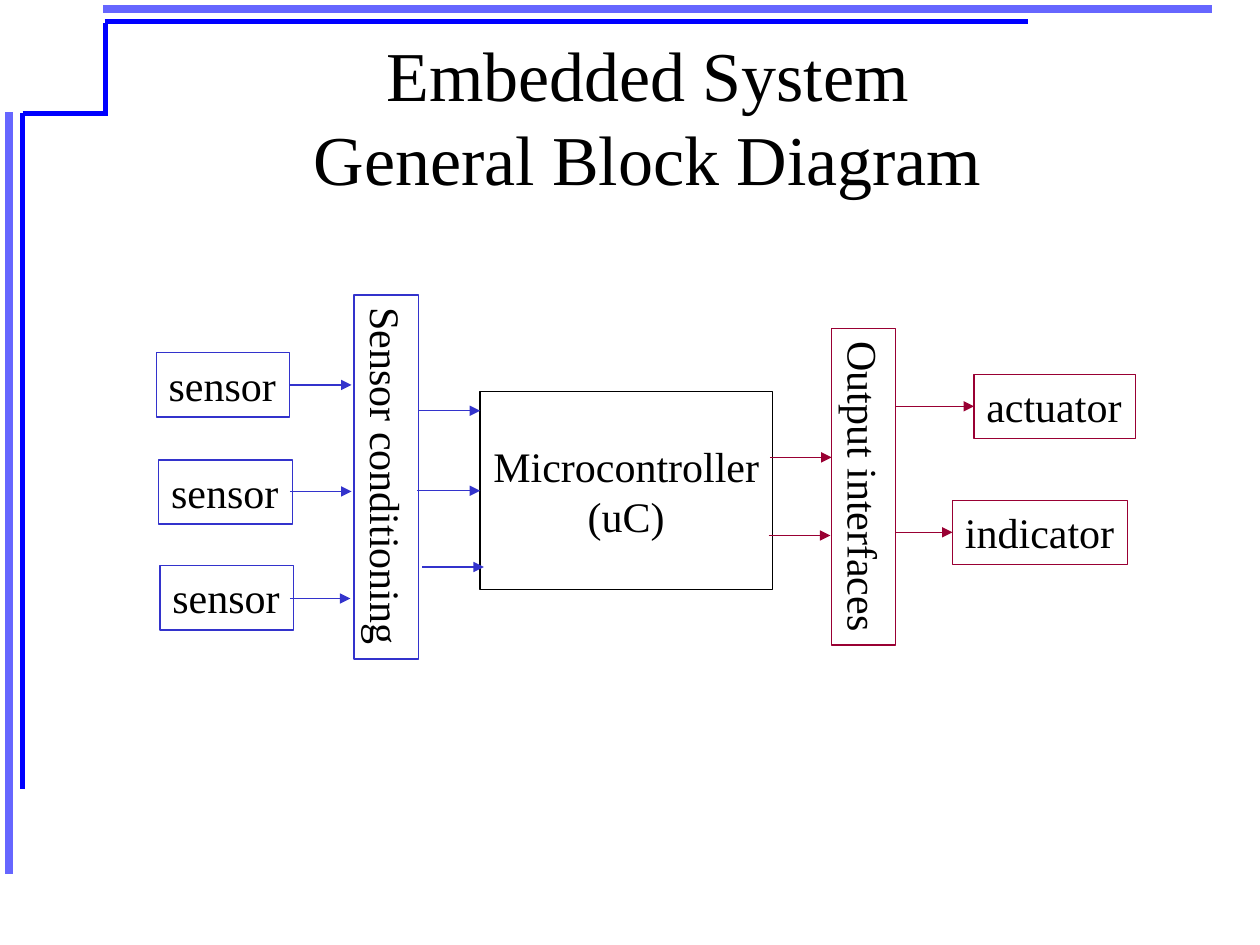
"""Build the embedded system block diagram slide."""
from dataclasses import dataclass

from lxml import etree
from pptx import Presentation
from pptx import util as u
from pptx.dml.color import RGBColor
from pptx.enum import shapes, text
from pptx.oxml.ns import qn

FONT = "Times New Roman"
BLACK, BLUE, RED = "000000", "3333CC", "990033"
FRAME_LIGHT, FRAME_DARK = "6666FF", "0000FF"
LEFT_SIDE, RIGHT_SIDE = 1, 3


@dataclass
class Block:
    label: str
    left: float
    top: float
    width: float
    height: float = 0.51
    color: str = BLUE
    rotation: int = 0
    centered: bool = False

    @property
    def middle(self) -> float:
        return self.top + self.height / 2


@dataclass
class Line:
    x1: float
    y1: float
    x2: float
    y2: float
    color: str
    weight: float


@dataclass
class Arrow:
    x1: float
    x2: float
    color: str
    y: float = 0
    source: str = ""
    target: str = ""


FRAME = [
    Line(0.07, 0.89, 0.07, 6.94, FRAME_LIGHT, 4.5),
    Line(0.82, 0.07, 9.62, 0.07, FRAME_LIGHT, 4.5),
    Line(0.18, 0.9, 0.18, 6.26, FRAME_DARK, 3),
    Line(0.83, 0.17, 8.16, 0.17, FRAME_DARK, 3),
    Line(0.18, 0.9, 0.85, 0.9, FRAME_DARK, 3),
    Line(0.84, 0.92, 0.84, 0.18, FRAME_DARK, 3),
]
BLOCKS = {
    "controller": Block("Microcontroller\n(uC)", 3.81, 3.11, 2.32, 1.57, BLACK, centered=True),
    "sensor 1": Block("sensor", 1.24, 2.8, 1.06),
    "sensor 2": Block("sensor", 1.26, 3.65, 1.06),
    "sensor 3": Block("sensor", 1.27, 4.49, 1.06),
    "conditioning": Block("Sensor conditioning", 1.62, 3.53, 2.89, rotation=90),
    "interfaces": Block("Output interfaces", 5.6, 3.61, 2.51, color=RED, rotation=90),
    "actuator": Block("actuator", 7.73, 2.97, 1.28, color=RED),
    "indicator": Block("indicator", 7.56, 3.97, 1.39, color=RED),
}
ARROWS = [
    Arrow(2.3, 2.79, BLUE, source="sensor 1"),
    Arrow(2.3, 2.79, BLUE, y=3.9),
    Arrow(2.3, 2.78, BLUE, y=4.75),
    Arrow(3.32, 3.81, BLUE, y=3.26),
    Arrow(3.31, 3.81, BLUE, target="controller"),
    Arrow(3.35, 3.84, BLUE, y=4.5),
    Arrow(6.11, 6.6, RED, y=3.63),
    Arrow(6.1, 6.59, RED, y=4.25),
    Arrow(7.11, 7.73, RED, target="actuator"),
    Arrow(7.11, 7.56, RED, target="indicator"),
]


def rgb(value: str) -> RGBColor:
    """Turn a hex string into a colour."""
    return RGBColor.from_string(value)


def style_text(frame, size: float, align) -> None:
    """Format every paragraph of a text frame."""
    for para in frame.paragraphs:
        para.alignment = align
        for span in para.runs:
            span.font.size = u.Pt(size)
            span.font.name = FONT
            span.font.color.rgb = rgb(BLACK)


def draw_title(slide, label: str) -> None:
    """Draw the centred slide title."""
    box = slide.shapes.add_textbox(*map(u.Inches, (0.89, 0.29, 8.5, 1.25)))
    frame = box.text_frame
    frame.word_wrap = True
    frame.vertical_anchor = text.MSO_ANCHOR.MIDDLE
    frame.text = label
    style_text(frame, 40, text.PP_ALIGN.CENTER)


def draw_block(slide, block: Block):
    """Draw one outlined block with its label."""
    bounds = map(u.Inches, (block.left, block.top, block.width, block.height))
    box = slide.shapes.add_shape(shapes.MSO_SHAPE.RECTANGLE, *bounds)
    box.rotation = block.rotation
    box.shadow.inherit = False
    box.fill.background()
    box.line.color.rgb = rgb(block.color)
    box.line.width = u.Pt(0.75)
    frame = box.text_frame
    frame.text = block.label
    frame.word_wrap = False
    if block.centered:
        frame.vertical_anchor = text.MSO_ANCHOR.MIDDLE
        style_text(frame, 24, text.PP_ALIGN.CENTER)
    else:
        frame.vertical_anchor = text.MSO_ANCHOR.TOP
        frame.auto_size = text.MSO_AUTO_SIZE.SHAPE_TO_FIT_TEXT
        style_text(frame, 24, text.PP_ALIGN.LEFT)
    return box


def draw_line(slide, line: Line):
    """Draw one straight line without a shadow."""
    ends = map(u.Inches, (line.x1, line.y1, line.x2, line.y2))
    connector = slide.shapes.add_connector(shapes.MSO_CONNECTOR.STRAIGHT, *ends)
    connector.line.color.rgb = rgb(line.color)
    connector.line.width = u.Pt(line.weight)
    etree.SubElement(connector._element.spPr, qn("a:effectLst"))
    return connector


def draw_arrow(slide, arrow: Arrow, boxes: dict) -> None:
    """Draw a horizontal arrow, joined to its named block if it has one."""
    joined = arrow.source or arrow.target
    y = BLOCKS[joined].middle if joined else arrow.y
    connector = draw_line(slide, Line(arrow.x1, y, arrow.x2, y, arrow.color, 0.75))
    outline = connector.line._get_or_add_ln()
    etree.SubElement(outline, qn("a:tailEnd"), type="triangle")
    if arrow.source:
        connector.begin_connect(boxes[arrow.source], RIGHT_SIDE)
    if arrow.target:
        connector.end_connect(boxes[arrow.target], LEFT_SIDE)


def main() -> None:
    """Build and save the deck."""
    deck = Presentation()
    deck.slide_width, deck.slide_height = u.Inches(10), u.Inches(7.5)
    page = deck.slides.add_slide(deck.slide_layouts[6])
    for line in FRAME:
        draw_line(page, line)
    draw_title(page, "Embedded System\vGeneral Block Diagram")
    boxes = {name: draw_block(page, block) for name, block in BLOCKS.items()}
    for arrow in ARROWS:
        draw_arrow(page, arrow, boxes)
    deck.save("out.pptx")


if __name__ == "__main__":
    main()
